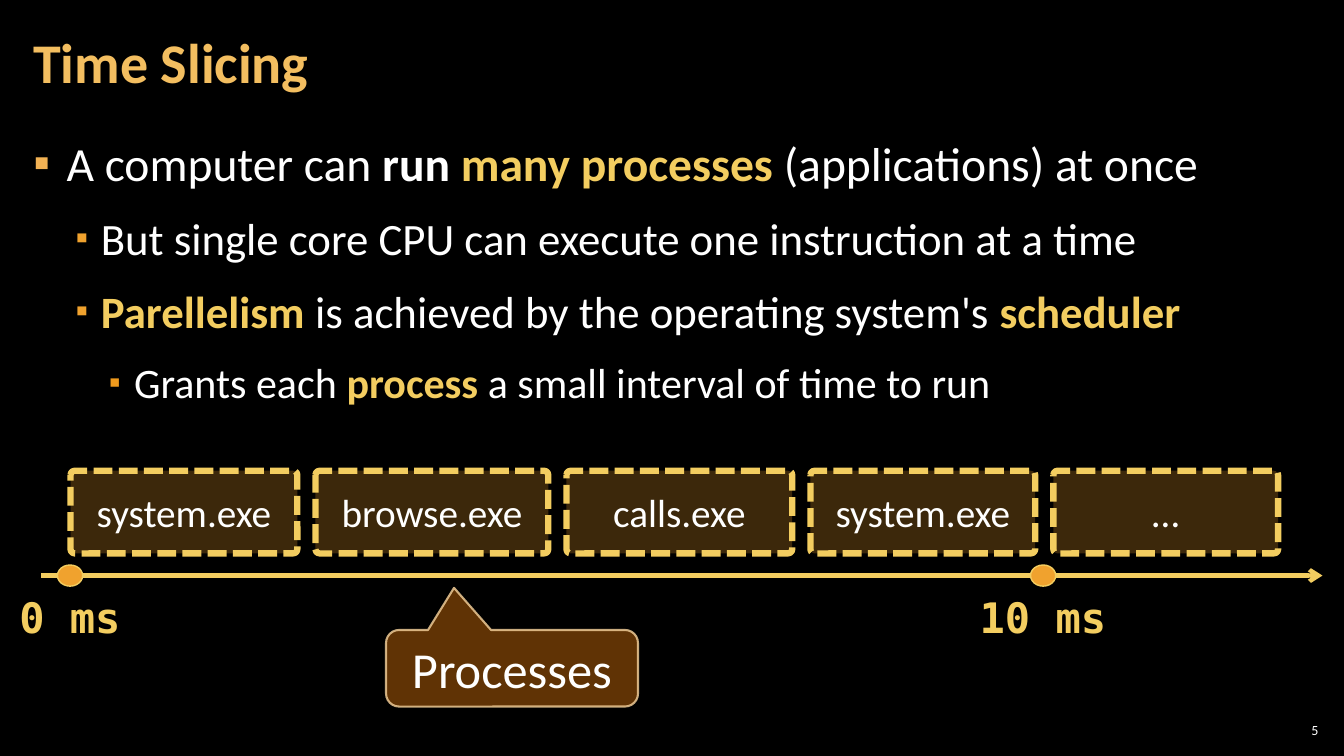
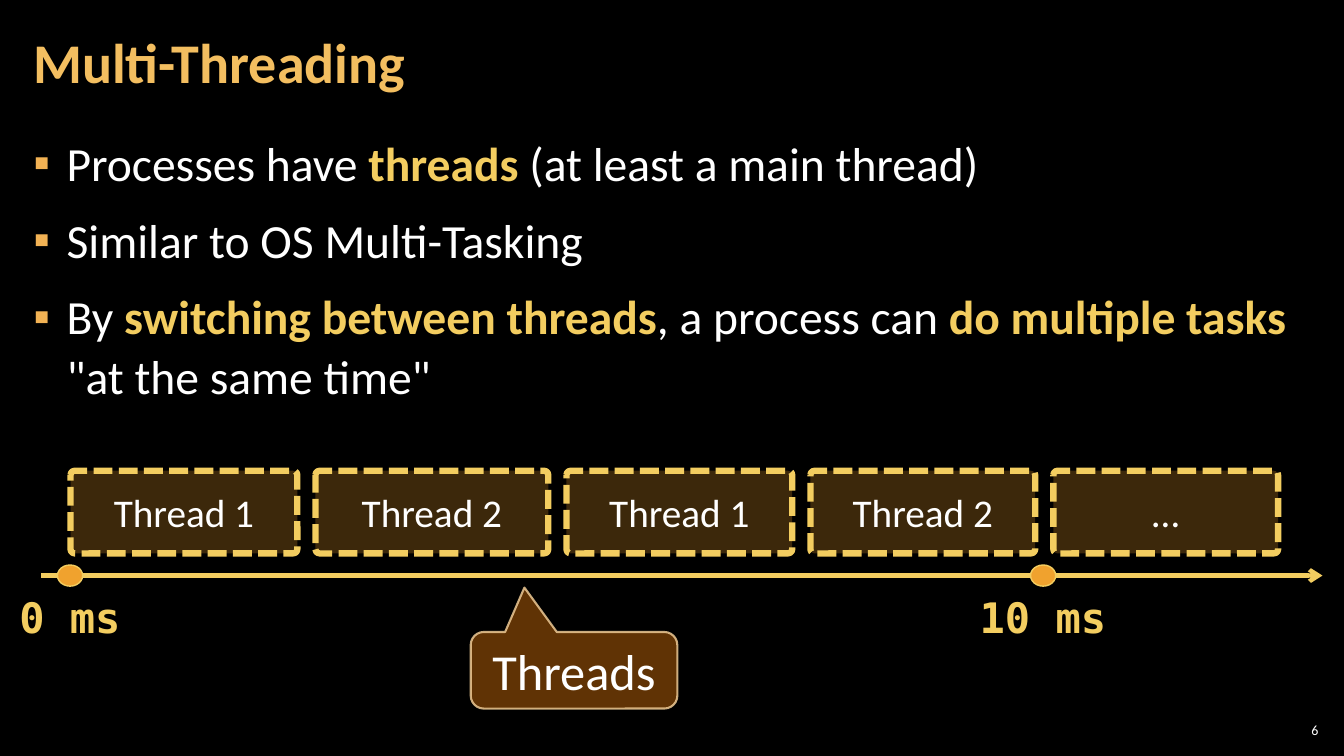
from lxml.etree import SubElement
from pptx import Presentation
from pptx.dml.color import RGBColor
from pptx.enum.dml import MSO_LINE
from pptx.enum.shapes import MSO_CONNECTOR, MSO_SHAPE
from pptx.enum.text import MSO_ANCHOR, MSO_AUTO_SIZE, PP_ALIGN
from pptx.oxml.ns import qn
from pptx.util import Inches, Pt

DASH = MSO_LINE.SQUARE_DOT
LINE = MSO_CONNECTOR.STRAIGHT
ROUND, OVAL = MSO_SHAPE.ROUNDED_RECTANGLE, MSO_SHAPE.OVAL
CALL = MSO_SHAPE.ROUNDED_RECTANGULAR_CALLOUT
MIDDLE, TOP = MSO_ANCHOR.MIDDLE, MSO_ANCHOR.TOP
FIXED = MSO_AUTO_SIZE.NONE
LEFT, CENTER, RIGHT = PP_ALIGN.LEFT, PP_ALIGN.CENTER, PP_ALIGN.RIGHT

HEX = {
    "back": "000000", "text": "FFFFFF", "title": "F3BE60", "gold": "F3CD60",
    "amber": "F0A22E", "brown": "663606", "sand": "F8D49E",
}
RGB = {name: RGBColor.from_string(code) for name, code in HEX.items()}
SANS, MONO = "Calibri", "DejaVu Sans Mono"

# The grid has 40 columns and 30 rows; places are given as columns and rows.
WIDE, HIGH = Inches(13.33), Inches(7.5)
COL, ROW = WIDE / 40, HIGH / 30

# Each list level: size, text indent, hanging indent, bullet colour, bullet percent
LEVELS = [
    (34, 0.33, 0.33, "F2B254", 100),
    (32, 0.67, 0.25, "F0A22E", 80),
    (30, 1, 0.25, "EF9A1D", 80),
]
SLOTS = [6.75, 6.93, 6.72, 6.69, 6.69]
GAP = 0.54
AXIS = 22.84
MARKS = [("0 ms", 2.08, 4.1), ("10 ms", 31.04, 5.34)]

# In list text, "|" parts the runs, "*" opens a gold bold run, "_" a white bold one.
SLIDES = [
    {
        "page": "5",
        "title": "Time Slicing",
        "list": [
            (0, "A computer can |_run |*many processes |(applications) at once"),
            (1, "But single core CPU can execute one instruction at a time"),
            (1, "*Parellelism| is achieved by the operating system's |*scheduler"),
            (2, "Grants each |*process| a small interval of time to run"),
        ],
        "slots": ["system.exe", "browse.exe", "calls.exe", "system.exe", "…"],
        "call": ("Processes", 11.49, 25, 7.5, (-0.23, -1.05, 0.17)),
    },
    {
        "page": "6",
        "title": "Multi-Threading",
        "list": [
            (0, "Processes have |*threads| (at least a main thread)"),
            (0, "Similar to OS Multi-Tasking"),
            (0, "By |*switching between threads|, a process can "
                "|*do multiple tasks |\"at the same time\""),
        ],
        "slots": ["Thread 1", "Thread 2", "Thread 1", "Thread 2", "…"],
        "call": ("Threads", 14.01, 25.08, 6.15, (-0.24, -1.08, 0.17)),
    },
]


def area(left, top, wide, high):
    """Turn columns and rows into slide lengths."""
    return [round(n) for n in (left * COL, top * ROW, wide * COL, high * ROW)]


def label(shape, text, size, align=CENTER, tone="text", face=SANS, bold=False):
    """Write one line of text, centred in height."""
    frame = shape.text_frame
    frame.vertical_anchor = MIDDLE
    para = frame.paragraphs[0]
    para.text, para.alignment = text, align
    font = para.font
    font.name, font.size, font.bold = face, Pt(size), bold
    font.color.rgb = RGB[tone]


deck = Presentation()
deck.slide_width, deck.slide_height = WIDE, HIGH
back = deck.slide_master.background.fill
back.solid()
back.fore_color.rgb = RGB["back"]

for page in SLIDES:
    slide = deck.slides.add_slide(deck.slide_layouts[1])
    shapes = slide.shapes
    title, body = slide.placeholders

    for holder, place in ((title, (0.63, 0.16, 31.41, 4.84)),
                          (body, (0.63, 5.04, 38.73, 24.36))):
        holder.left, holder.top, holder.width, holder.height = area(*place)
        frame = holder.text_frame
        frame.word_wrap, frame.auto_size = True, FIXED
        frame.margin_left = frame.margin_right = Inches(0.12)
        frame.margin_top = frame.margin_bottom = Inches(0.04)
    label(title, page["title"], 40, LEFT, "title", bold=True)
    title.text_frame.paragraphs[0].line_spacing = 0.9

    frame = body.text_frame
    frame.vertical_anchor = TOP
    for i, (level, text) in enumerate(page["list"]):
        size, indent, hang, tint, share = LEVELS[level]
        para = frame.add_paragraph() if i else frame.paragraphs[0]
        para.level, para.alignment, para.line_spacing = level, LEFT, 1.05
        para.space_before = para.space_after = Pt(6)
        props = para._p.get_or_add_pPr()
        props.set("marL", str(Inches(indent)))
        props.set("indent", str(-Inches(hang)))
        SubElement(SubElement(props, qn("a:buClr")), qn("a:srgbClr"), val=tint)
        SubElement(props, qn("a:buSzPct"), val=str(share * 1000))
        SubElement(props, qn("a:buChar"), char="▪")
        para.font.name, para.font.size = SANS, Pt(size)
        para.font.color.rgb = RGB["text"]
        for part in text.split("|"):
            run = para.add_run()
            run.text = part.lstrip("*_")
            if part[0] in "*_":
                run.font.bold = True
            if part[0] == "*":
                run.font.color.rgb = RGB["gold"]

    # Kind, place, fill, line, line width, text, text size, adjustments, alphas
    blocks = []
    left = 2.1
    for text, wide in zip(page["slots"], SLOTS):
        blocks.append((ROUND, (left, 18.68, wide, 3.28), "amber", "gold", 4.5,
                       text, 28, (0.05,), (25, 100)))
        left += wide + GAP
    for _, mid, _ in MARKS:
        blocks.append((OVAL, (mid - 0.37, AXIS - 0.42, 0.75, 0.84), "amber",
                       "gold", 1, "", 28, (), (100, 100)))
    text, left, top, wide, bends = page["call"]
    blocks.append((CALL, (left, top, wide, 3.04), "brown", "sand", 1.5,
                   text, 36, bends, (95, 80)))

    axis = shapes.add_connector(LINE, round(1.23 * COL), round(AXIS * ROW),
                                round(39.36 * COL), round(AXIS * ROW))
    axis.line.color.rgb, axis.line.width = RGB["gold"], Pt(3)
    SubElement(axis.line._get_or_add_ln(), qn("a:tailEnd"), type="arrow")
    SubElement(axis._element.spPr, qn("a:effectLst"))

    for kind, place, fill, edge, width, text, size, bends, alphas in blocks:
        block = shapes.add_shape(kind, *area(*place))
        block.shadow.inherit = False
        block.fill.solid()
        block.fill.fore_color.rgb = RGB[fill]
        block.line.color.rgb, block.line.width = RGB[edge], Pt(width)
        if kind == ROUND:
            block.line.dash_style = DASH
        for i, bend in enumerate(bends):
            block.adjustments[i] = bend
        for route, alpha in zip(("a:solidFill", "a:ln/a:solidFill"), alphas):
            if alpha < 100:
                paint = block._element.spPr.xpath(route + "/a:srgbClr")[0]
                SubElement(paint, qn("a:alpha"), val=str(alpha * 1000))
        if text:
            label(block, text, size)

    for text, mid, wide in MARKS:
        mark = shapes.add_textbox(*area(mid - wide / 2, 23.24, wide, 2.44))
        label(mark, text, 30, tone="gold", face=MONO, bold=True)

    number = shapes.add_textbox(*area(37.95, 28.56, 1.41, 0.84))
    frame = number.text_frame
    frame.word_wrap = True
    frame.margin_left = frame.margin_right = Inches(0.04)
    frame.margin_top = frame.margin_bottom = Inches(0.04)
    label(number, page["page"], 10, RIGHT)

deck.save("out.pptx")
